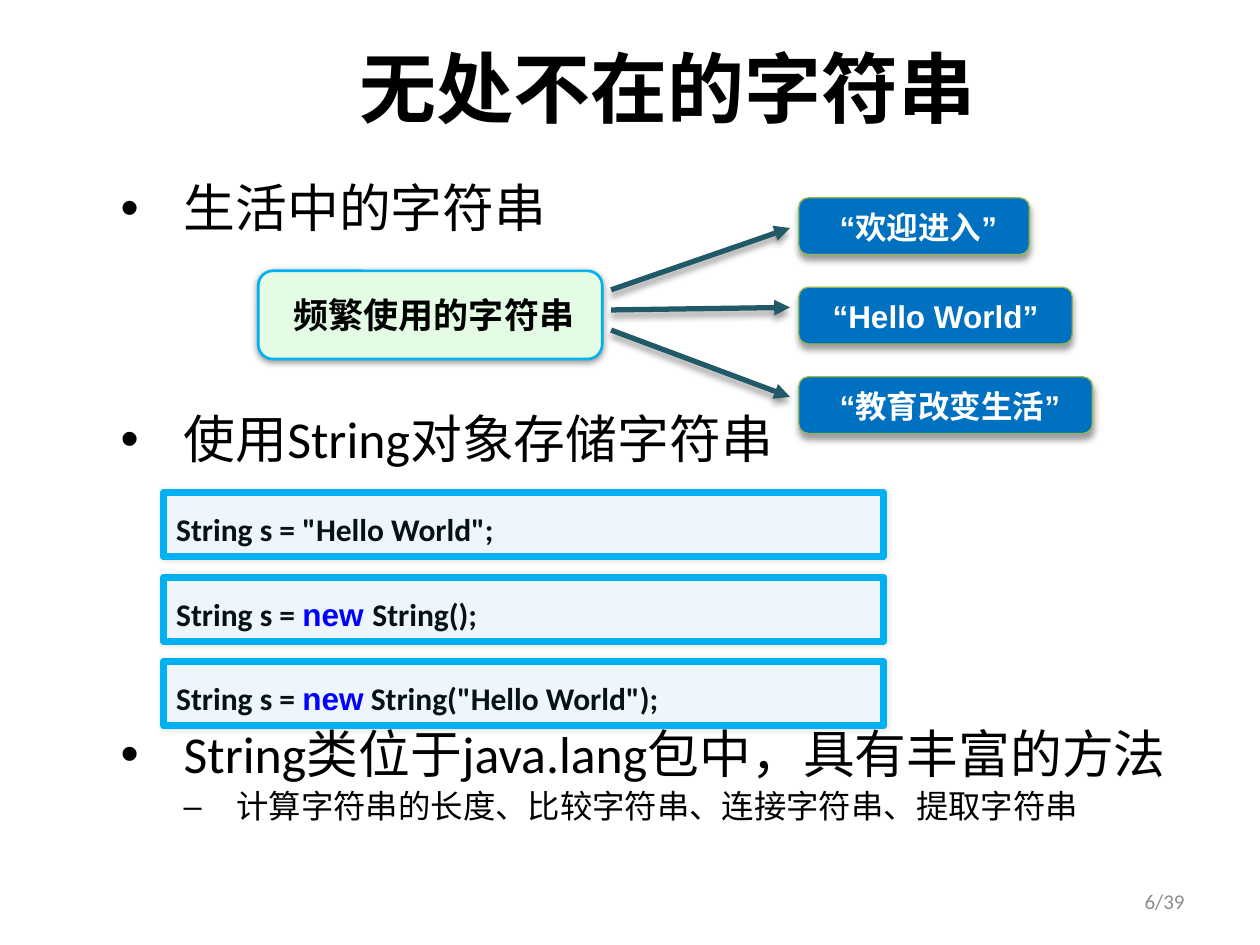
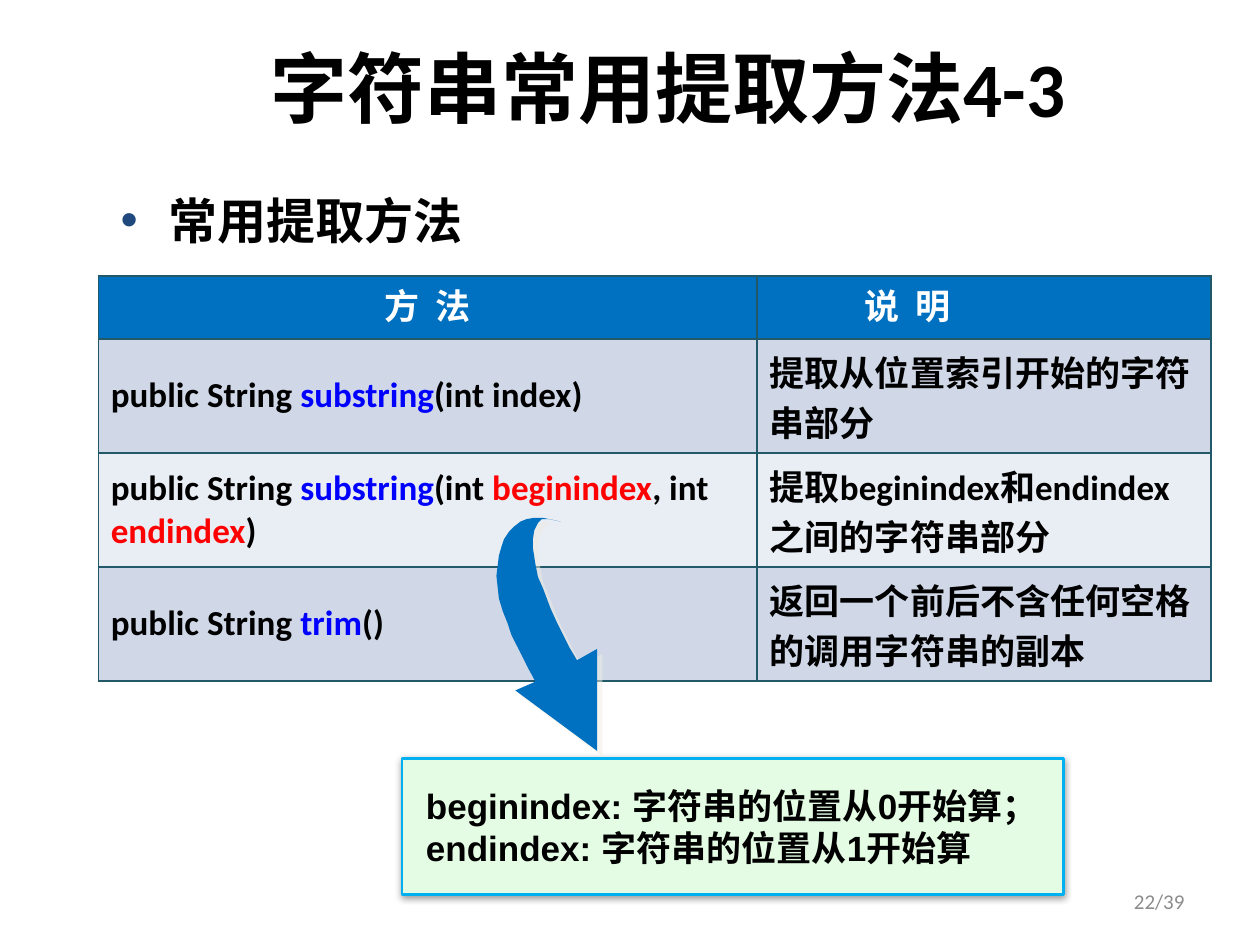
"""Build two slides on Java strings: where they occur and how to extract parts."""
import dataclasses

import pptx
import pptx.dml.color
import pptx.enum.shapes
import pptx.enum.text
import pptx.oxml
import pptx.oxml.ns
import pptx.util
from lxml import etree

Pt = pptx.util.Pt
qn = pptx.oxml.ns.qn
SHAPE = pptx.enum.shapes.MSO_SHAPE
ALIGN = pptx.enum.text.PP_ALIGN
ANCHOR = pptx.enum.text.MSO_ANCHOR
WIDE, HIGH = pptx.util.Inches(10), pptx.util.Inches(7.5)
UNIT = WIDE // 100


@dataclasses.dataclass(frozen=True)
class Theme:
    body: str = "Calibri"
    label: str = "Arial"
    black: str = "000000"
    white: str = "FFFFFF"
    grey: str = "8C8C8C"
    ink: str = "071215"
    word: str = "0000FF"
    alert: str = "FF0000"
    blue: str = "0070C0"
    sky: str = "00B0F0"
    mint: str = "E4FCE4"
    pale: str = "EDF5FD"
    leaf: str = "95B74F"
    teal: str = "215968"
    navy: str = "1F497D"
    sand: str = "EEECE1"
    bands: tuple = ("D0D8E8", "E9EDF4")
    title: float = 44
    lead: float = 29.6
    head: float = 28
    note: float = 20
    code: float = 18
    sub: float = 18.5
    foot: float = 12


T = Theme()
SOFT = (T.black, 40, 4, 1, 90)
DROP = (T.black, 40, 4, 3, 90)
GLOW = (T.black, 10, 3, 0, 0)
EDGE = (T.sand, 50, 0, 4.2, 45)


def grid(*cells):
    return [round(cell * UNIT) for cell in cells]


def rgb(code):
    return pptx.dml.color.RGBColor.from_string(code)


def child(node, tag, **attrs):
    return etree.SubElement(node, qn(tag), {k: str(v) for k, v in attrs.items()})


def write(para, runs, size, color=T.black, font=T.body, bold=True):
    for part in [runs] if isinstance(runs, str) else runs:
        text, tint, face = ((part, color, font) if isinstance(part, str)
                            else (*part, font)[:3])
        run = para.add_run()
        run.text = text
        run.font.size, run.font.bold, run.font.name = Pt(size), bold, face
        run.font.color.rgb = rgb(tint)
        child(run.font._element, "a:ea", typeface=face)


def shade(item, color, alpha, blur, dist, angle):
    props = item._element.spPr
    for old in props.findall(qn("a:effectLst")):
        props.remove(old)
    cast = child(child(props, "a:effectLst"), "a:outerShdw", blurRad=Pt(blur),
                 dist=Pt(dist), dir=angle * 60000, algn="tl", rotWithShape=0)
    child(child(cast, "a:srgbClr", val=color), "a:alpha", val=alpha * 1000)


def bullet(para, mark, left, hang, color=None):
    props = para._p.get_or_add_pPr()
    props.set("marL", str(grid(left)[0]))
    props.set("indent", str(-grid(hang)[0]))
    if color:
        child(child(props, "a:buClr"), "a:srgbClr", val=color)
    child(props, "a:buFont", typeface=T.label)
    child(props, "a:buChar", char=mark)


def textbox(slide, cells, anchor=ANCHOR.TOP):
    frame = slide.shapes.add_textbox(*grid(*cells)).text_frame
    frame.word_wrap = True
    frame.vertical_anchor = anchor
    return frame


def page(deck, title, number):
    slide = deck.slides.add_slide(deck.slide_layouts[5])
    head = slide.shapes.title
    head.left, head.top, head.width, head.height = grid(8, 2.7, 90, 9.8)
    head.text_frame.vertical_anchor = ANCHOR.TOP
    para = head.text_frame.paragraphs[0]
    para.alignment = ALIGN.CENTER
    write(para, title, T.title)
    foot = textbox(slide, (71.7, 69.5, 23.3, 4), ANCHOR.MIDDLE).paragraphs[0]
    foot.alignment = ALIGN.RIGHT
    write(foot, number, T.foot, T.grey, bold=False)
    return slide


def panel(slide, cells, fill, line, width, cast, curve=0.0, anchor=ANCHOR.MIDDLE,
          inset=1.0, wrap=True):
    box = slide.shapes.add_shape(SHAPE.ROUNDED_RECTANGLE, *grid(*cells))
    box.adjustments[0] = curve
    box.fill.solid()
    box.fill.fore_color.rgb = rgb(fill)
    box.line.color.rgb = rgb(line)
    box.line.width = Pt(width)
    shade(box, *cast)
    frame = box.text_frame
    frame.word_wrap, frame.vertical_anchor = wrap, anchor
    frame.margin_left = frame.margin_right = grid(inset)[0]
    para = frame.paragraphs[0]
    para.alignment = ALIGN.LEFT
    return para


def chip(slide, row, width, text):
    para = panel(slide, (63.4, row, width, 4.5), T.blue, T.leaf, 0.75, DROP, 0.167,
                 ANCHOR.BOTTOM, wrap=False)
    para.alignment = ALIGN.CENTER
    write(para, text, T.code, T.white, T.label)


def code(slide, row, runs):
    para = panel(slide, (13, row, 57.1, 5.1), T.pale, T.sky, 4, GLOW,
                 anchor=ANCHOR.TOP)
    para.line_spacing = 1.3
    write(para, runs, T.code, T.ink)


def arrow(slide, *ends):
    line = slide.shapes.add_connector(pptx.enum.shapes.MSO_CONNECTOR.STRAIGHT,
                                      *grid(*ends))
    line.line.color.rgb = rgb(T.teal)
    line.line.width = Pt(3)
    child(line._element.spPr.find(qn("a:ln")), "a:tailEnd", type="triangle")
    shade(line, *DROP)


def points(slide):
    frame = textbox(slide, (8.6, 14, 86.7, 54.8))
    items = [("生活中的字符串", 0), ("使用String对象存储字符串", 100),
             ("String类位于java.lang包中，具有丰富的方法", 148)]
    for index, (text, gap) in enumerate(items):
        para = frame.add_paragraph() if index else frame.paragraphs[0]
        para.line_spacing, para.space_before = 0.9, Pt(gap)
        bullet(para, "•", 5, 5)
        write(para, text, T.lead, bold=False)
    para = frame.add_paragraph()
    para.line_spacing, para.space_before = 0.9, Pt(3.7)
    bullet(para, "–", 9.2, 4.2)
    write(para, "计算字符串的长度、比较字符串、连接字符串、提取字符串", T.sub, bold=False)


def cell(box, runs, fill, color=T.black):
    box.fill.solid()
    box.fill.fore_color.rgb = rgb(fill)
    box.vertical_anchor = ANCHOR.MIDDLE
    props = box._tc.get_or_add_tcPr()
    for spot, side in enumerate("LRTB"):
        line = child(props, f"a:ln{side}", w=Pt(1))
        child(child(line, "a:solidFill"), "a:srgbClr", val=T.teal)
        props.insert(spot, line)
    para = box.text_frame.paragraphs[0]
    write(para, runs, T.note, color)
    return para


def methods(slide):
    rows = [
        (["public String ", ("substring", T.word), "(int index)"],
         "提取从位置索引开始的字符串部分"),
        (["public String ", ("substring", T.word), "(int ", ("beginindex", T.alert),
          ", int ", ("endindex", T.alert), ")"],
         "提取beginindex和endindex之间的字符串部分"),
        (["public String ", ("trim", T.word), "()"],
         "返回一个前后不含任何空格的调用字符串的副本"),
    ]
    table = slide.shapes.add_table(4, 2, *grid(7.8, 21.9, 88.3, 32.2)).table
    table.first_row = table.horz_banding = False
    for col, width in zip(table.columns, grid(52.3, 36)):
        col.width = width
    for row, height in zip(table.rows, grid(5, 9.05, 9.05, 9.05)):
        row.height = height
    heads = [cell(table.cell(0, col), text, T.blue, T.white)
             for col, text in enumerate(("方 法", "说 明"))]
    for para in heads:
        para.runs[0].font._element.set("spc", "225")
    heads[0].alignment = ALIGN.CENTER
    heads[1]._p.get_or_add_pPr().set("marL", str(grid(7.5)[0]))
    for index, (sign, note) in enumerate(rows, 1):
        fill = T.bands[(index - 1) % 2]
        cell(table.cell(index, 0), sign, fill)
        cell(table.cell(index, 1), note, fill).line_spacing = Pt(28.5)


def swoosh(slide):
    curve = [(409, 548), (425, 541), (419, 530), (413, 518), (406, 504), (403, 495),
             (399, 485), (396, 475), (395, 466), (394, 457), (395, 449), (396, 441),
             (398, 434), (400, 428), (404, 422), (408, 418), (413, 414), (418, 412),
             (424, 411), (431, 411), (445, 414), (436, 412), (430, 412), (427, 415),
             (424, 421), (423, 428), (423, 435), (425, 448), (427, 458), (431, 467),
             (437, 483), (442, 494), (447, 504), (452, 514), (458, 524), (474, 515)]
    pen = slide.shapes.build_freeform(474, 596, scale=UNIT / 10)
    pen.add_line_segments(curve, close=True)
    shape = pen.convert_to_shape()
    shape.fill.solid()
    shape.fill.fore_color.rgb = rgb(T.blue)
    shape.line.fill.background()
    shade(shape, *EDGE)


def usage(deck):
    slide = page(deck, "无处不在的字符串", "6/39")
    points(slide)
    para = panel(slide, (20.5, 21.5, 27.3, 7), T.mint, T.sky, 1.5, SOFT, 0.167,
                 inset=1.7)
    write(para, " 频繁使用的字符串", T.note, font=T.label)
    chips = [(18.3, " “欢迎进入”"), (21.7, " “Hello World” "),
             (23.3, " “教育改变生活”")]
    for index, (width, text) in enumerate(chips):
        chip(slide, 15.7 + 7.1 * index, width, text)
    for start, end in ((23, 18.1), (24.6, 24.4), (26.2, 31.5)):
        arrow(slide, 48.5, start, 62.7, end)
    lines = ['String s = "Hello World";',
             ["String s = ", ("new ", T.word, T.label), "String();"],
             ["String s = ", ("new", T.word, T.label), ' String("Hello World");']]
    for index, runs in enumerate(lines):
        code(slide, 39.1 + 6.7 * index, runs)


def extract(deck):
    slide = page(deck, "字符串常用提取方法4-3", "22/39")
    methods(slide)
    para = panel(slide, (31.9, 60.2, 52.5, 10.8), T.mint, T.sky, 1.5, SOFT, inset=1.9)
    write(para, "beginindex: 字符串的位置从0开始算；endindex: 字符串的位置从1开始算",
          T.note, font=T.label)
    swoosh(slide)
    para = textbox(slide, (8.6, 14.6, 42.5, 6.5)).paragraphs[0]
    bullet(para, "•", 3.8, 3.8, T.navy)
    write(para, "常用提取方法", T.head)


def main():
    deck = pptx.Presentation()
    deck.slide_width, deck.slide_height = WIDE, HIGH
    usage(deck)
    extract(deck)
    deck.save("out.pptx")


if __name__ == "__main__":
    main()
